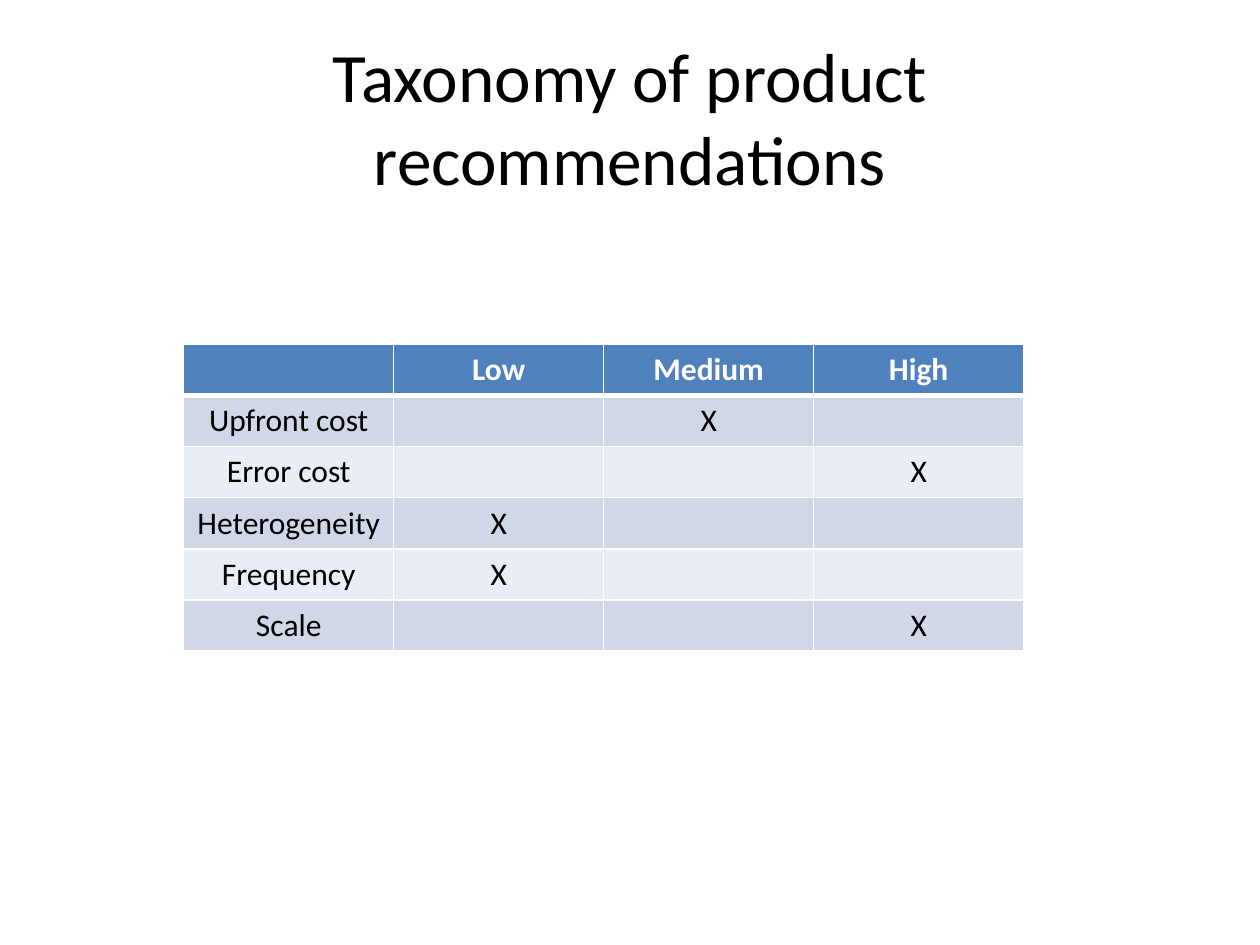
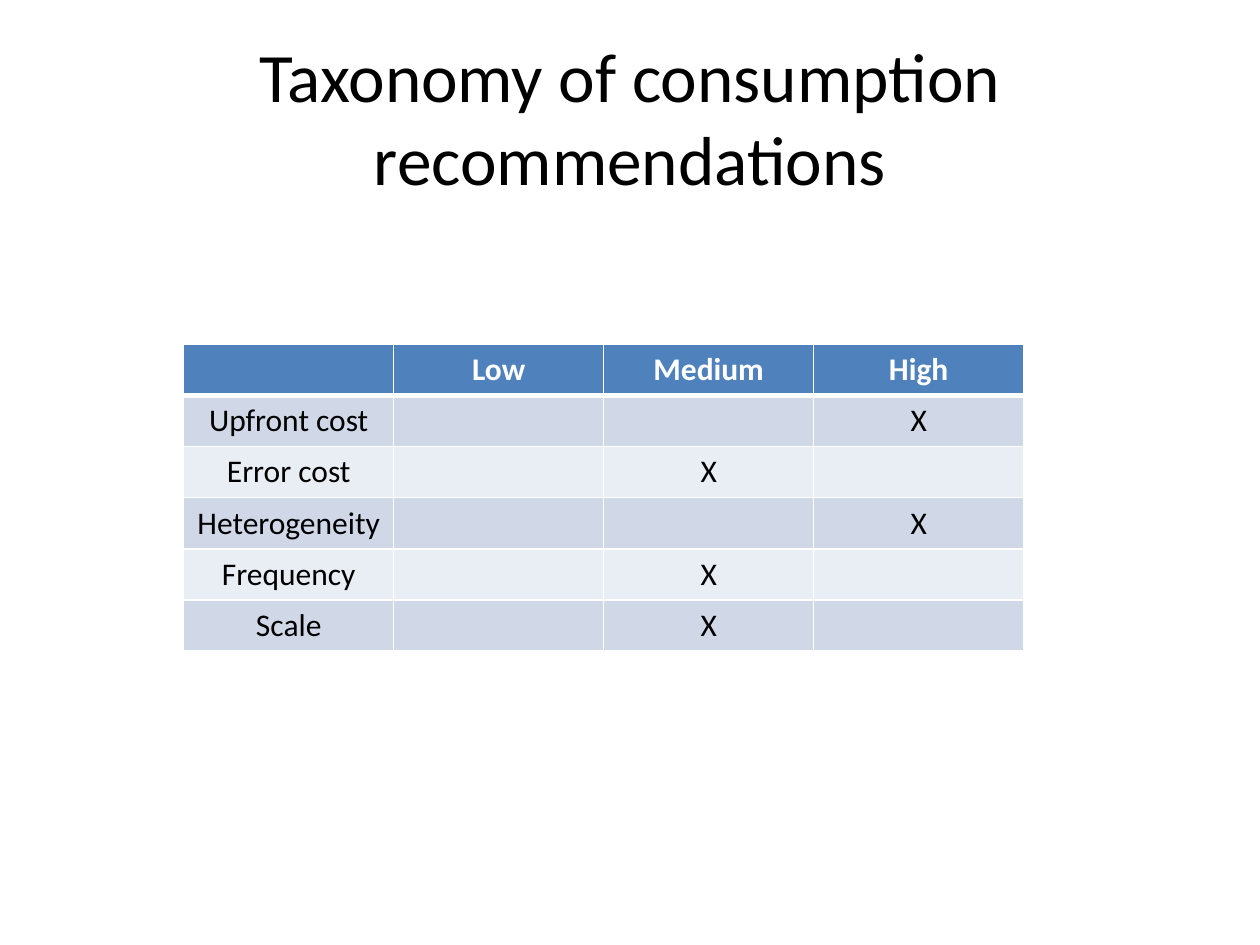
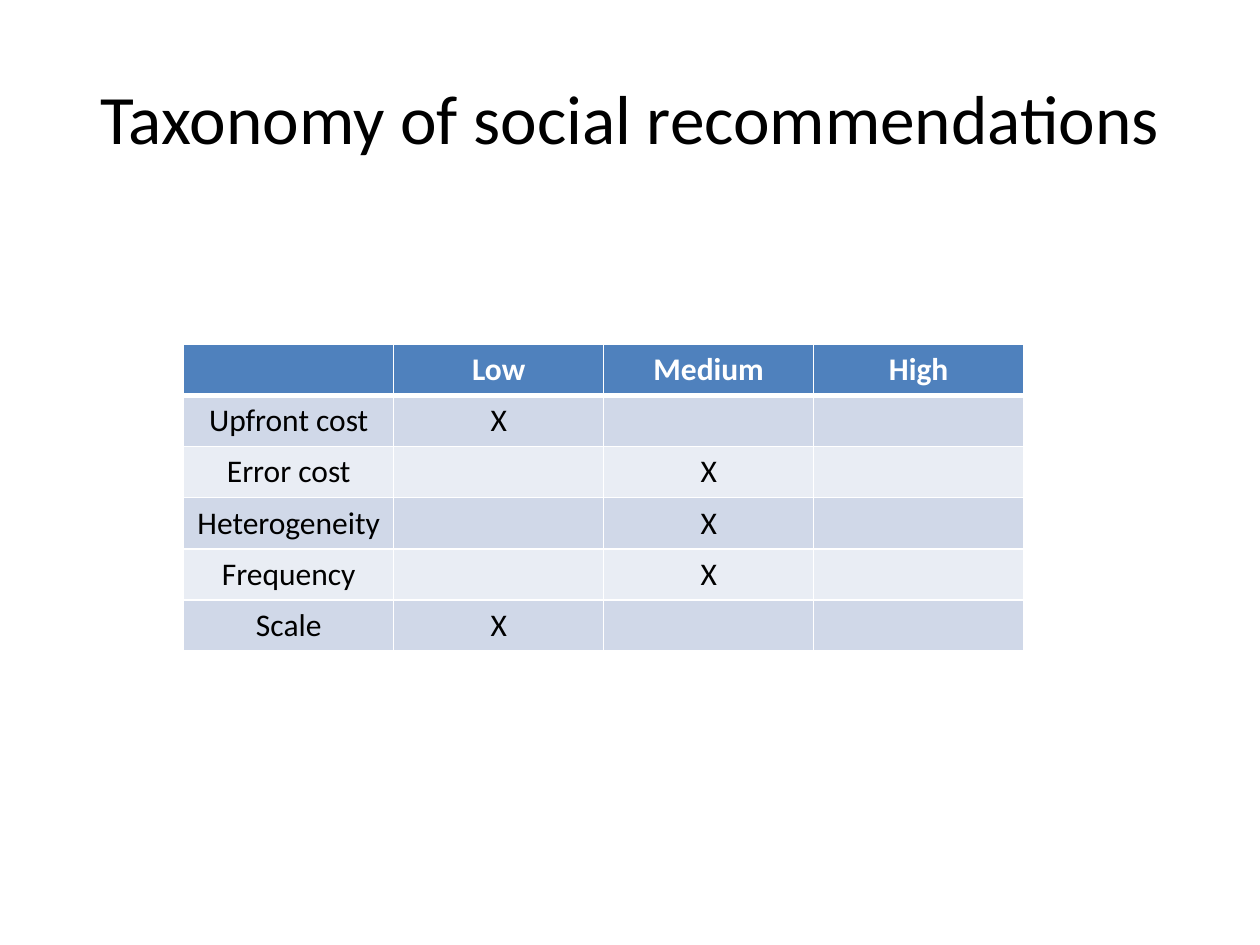
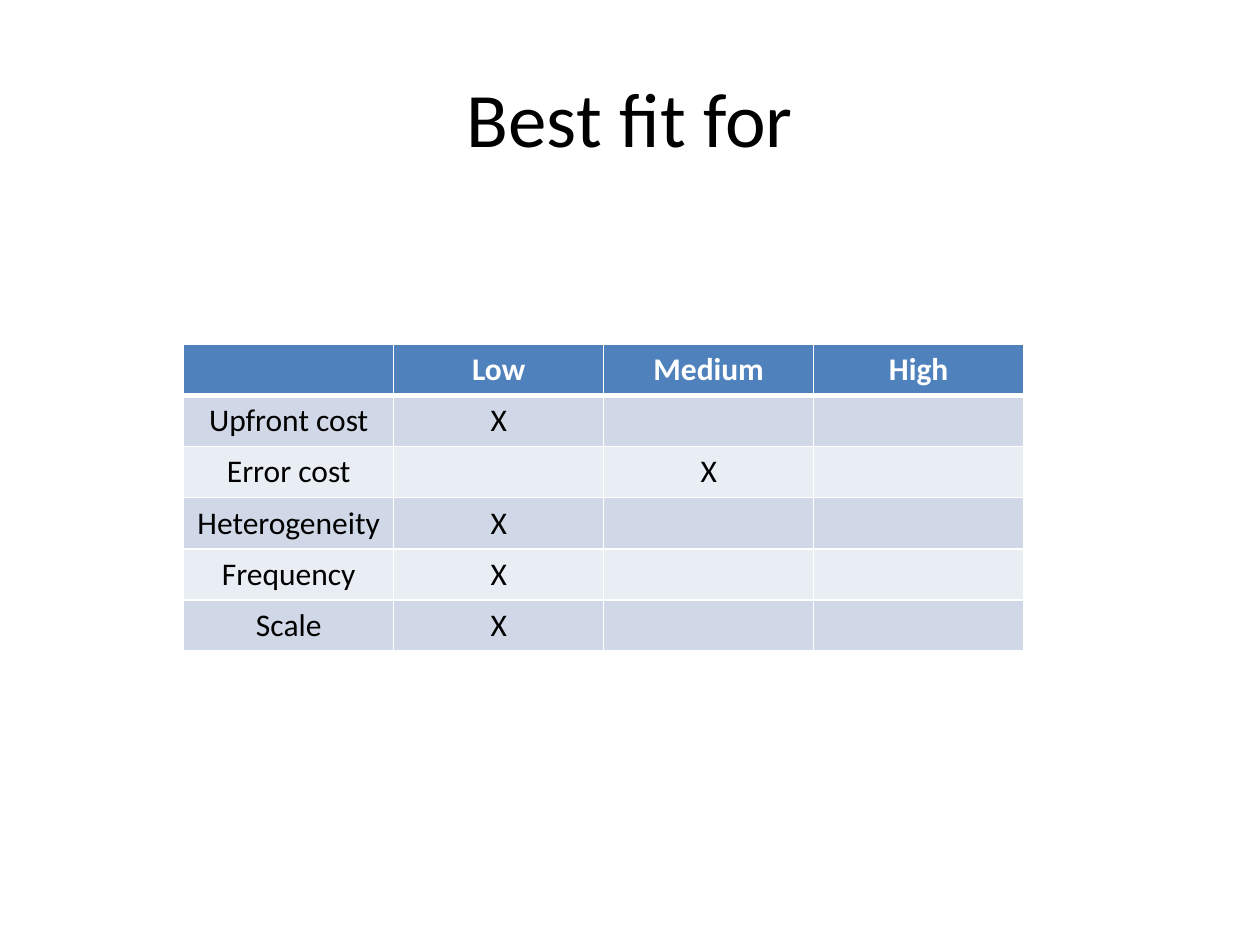
import dataclasses

import lxml.etree
import pptx
import pptx.dml.color
import pptx.enum.text
import pptx.oxml.ns
import pptx.presentation
import pptx.slide
import pptx.table
import pptx.text.text
import pptx.util

Pt = pptx.util.Pt

FONT = "Calibri"
BLACK, WHITE = "000000", "FFFFFF"
HEADER_FILL = "4F81BD"
BAND_FILLS = ("D0D8E8", "E9EDF4")

LEVELS = ("Low", "Medium", "High")
CRITERIA = ("Upfront cost", "Error cost", "Heterogeneity", "Frequency", "Scale")

TABLE_LEFT, TABLE_TOP = 105, 196.8
COLUMN_WIDTH, ROW_HEIGHT = 120, 29.2
THIN_LINE, HEADER_LINE = 1, 3
TITLE_ONLY_LAYOUT = 5


@dataclasses.dataclass(frozen=True)
class Taxonomy:
    """A slide title and the level marked for each criterion."""

    title: str
    ratings: tuple[str, ...]
    title_size: float = 39.6


TAXONOMIES = (
    Taxonomy("Taxonomy of product recommendations",
             ("Medium", "High", "Low", "Low", "High")),
    Taxonomy("Taxonomy of consumption recommendations",
             ("High", "Medium", "High", "Medium", "Medium")),
    Taxonomy("Taxonomy of social recommendations",
             ("Low", "Medium", "Medium", "Medium", "Low")),
    Taxonomy("Best fit for",
             ("Low", "Medium", "Low", "Low", "Low"), title_size=44),
)


def rgb(color: str) -> pptx.dml.color.RGBColor:
    return pptx.dml.color.RGBColor.from_string(color)


def write_text(frame: pptx.text.text.TextFrame, text: str, *, size: float,
               color: str = BLACK, bold: bool = False) -> None:
    para = frame.paragraphs[0]
    para.alignment = pptx.enum.text.PP_ALIGN.CENTER
    para.font.size = Pt(size)
    if text:
        span = para.add_run()
        span.text = text
        span.font.name = FONT
        span.font.size = Pt(size)
        span.font.bold = bold
        span.font.color.rgb = rgb(color)


def set_borders(cell: pptx.table._Cell, top: float, bottom: float) -> None:
    """Draw white cell borders; the schema wants them ahead of the fill."""
    qn = pptx.oxml.ns.qn
    properties = cell._tc.get_or_add_tcPr()
    widths = {"a:lnL": THIN_LINE, "a:lnR": THIN_LINE, "a:lnT": top, "a:lnB": bottom}
    for position, (tag, width) in enumerate(widths.items()):
        line = lxml.etree.Element(qn(tag), w=str(int(Pt(width))))
        fill = lxml.etree.SubElement(line, qn("a:solidFill"))
        lxml.etree.SubElement(fill, qn("a:srgbClr"), val=WHITE)
        properties.insert(position, line)


def add_title(page: pptx.slide.Slide, text: str, size: float) -> None:
    title = page.shapes.title
    title.left, title.top, title.width, title.height = map(Pt, (36, 21.6, 648, 90))
    frame = title.text_frame
    frame.word_wrap = True
    frame.auto_size = pptx.enum.text.MSO_AUTO_SIZE.NONE
    frame.vertical_anchor = pptx.enum.text.MSO_ANCHOR.MIDDLE
    write_text(frame, text, size=size)


def add_rating_table(page: pptx.slide.Slide, ratings: tuple[str, ...]) -> None:
    rows = [("", *LEVELS)]
    for criterion, rating in zip(CRITERIA, ratings):
        rows.append((criterion, *("X" if level == rating else "" for level in LEVELS)))

    table = page.shapes.add_table(
        len(rows), len(rows[0]), Pt(TABLE_LEFT), Pt(TABLE_TOP),
        Pt(COLUMN_WIDTH * len(rows[0])), Pt(ROW_HEIGHT * len(rows))).table
    for column in table.columns:
        column.width = Pt(COLUMN_WIDTH)
    for row_index, texts in enumerate(rows):
        table.rows[row_index].height = Pt(ROW_HEIGHT)
        is_header = row_index == 0
        fill = HEADER_FILL if is_header else BAND_FILLS[(row_index - 1) % 2]
        for column_index, text in enumerate(texts):
            cell = table.cell(row_index, column_index)
            cell.fill.solid()
            cell.fill.fore_color.rgb = rgb(fill)
            set_borders(cell, top=HEADER_LINE if row_index == 1 else THIN_LINE,
                        bottom=HEADER_LINE if is_header else THIN_LINE)
            write_text(cell.text_frame, text, size=18,
                       color=WHITE if is_header else BLACK, bold=is_header)


def add_taxonomy_page(deck: pptx.presentation.Presentation, taxonomy: Taxonomy) -> None:
    page = deck.slides.add_slide(deck.slide_layouts[TITLE_ONLY_LAYOUT])
    add_title(page, taxonomy.title, taxonomy.title_size)
    add_rating_table(page, taxonomy.ratings)


def main() -> None:
    deck = pptx.Presentation()
    deck.slide_width, deck.slide_height = Pt(720), Pt(540)
    for taxonomy in TAXONOMIES:
        add_taxonomy_page(deck, taxonomy)
    deck.save("out.pptx")


if __name__ == "__main__":
    main()
